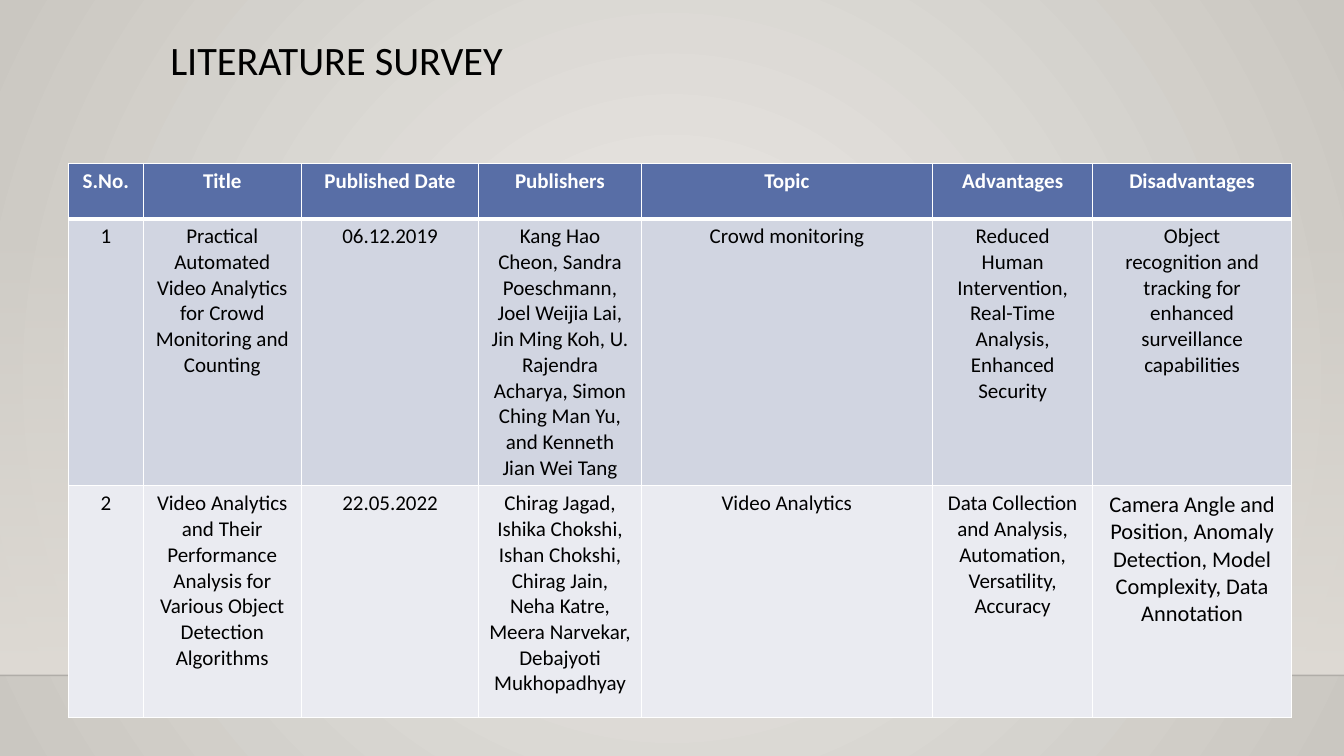
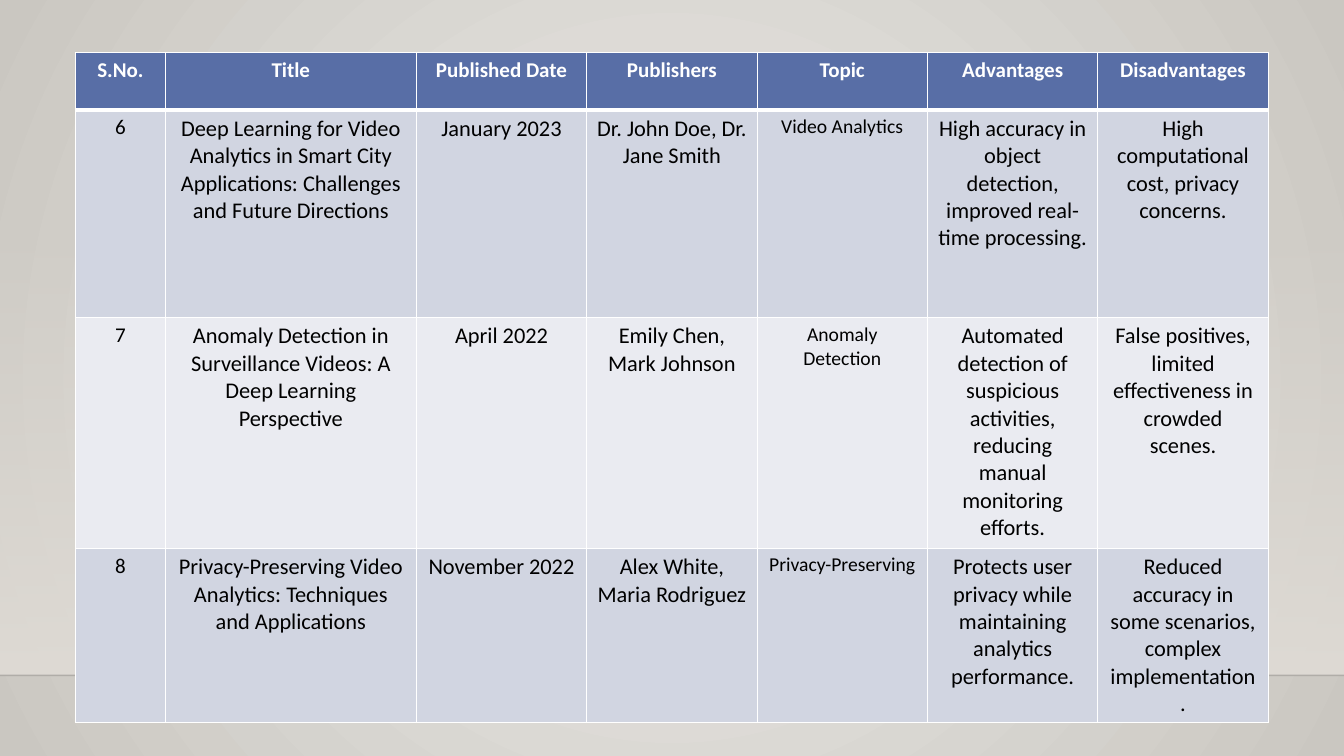
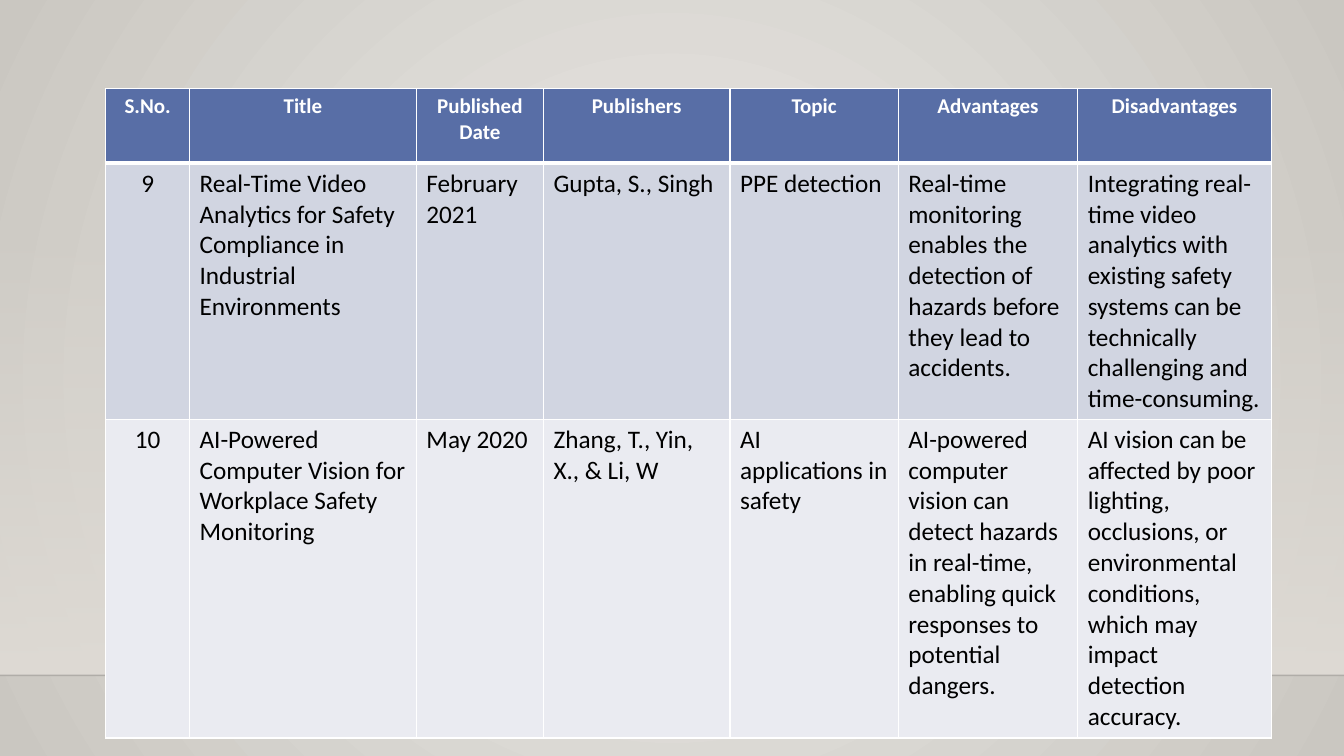
from lxml.etree import SubElement
from pptx import Presentation
from pptx.dml.color import RGBColor
from pptx.enum.shapes import MSO_CONNECTOR, MSO_SHAPE
from pptx.enum.text import PP_ALIGN
from pptx.oxml import parse_xml
from pptx.oxml.ns import nsdecls, qn
from pptx.util import Inches, Pt

# Shared look
WIDE, HIGH, FLOOR = 13.33, 7.5, 6.7
FONT = "Calibri"
HUES = {
    "glow": "ECEAE7", "edge": "CAC7C1", "wall": "DFDBD5",
    "head": "586EA6", "odd": "D1D5E1", "even": "EAEBF1",
    "white": "FFFFFF", "black": "000000",
}
HEADS = ["S.No.", "Title", "Published Date", "Publishers", "Topic",
         "Advantages", "Disadvantages"]
ROUND = ('<a:path {} path="circle"><a:fillToRect l="50000" t="50000" '
         'r="50000" b="50000"/></a:path>')
DOWN = '<a:lin {} ang="5400000" scaled="0"/>'

# Content of the tables: one list per body row
CROWD = [
    ["1",
     "Practical Automated Video Analytics for Crowd Monitoring and Counting",
     "06.12.2019",
     "Kang Hao Cheon, Sandra Poeschmann, Joel Weijia Lai,\n"
     "Jin Ming Koh, U. Rajendra Acharya, Simon Ching Man Yu, "
     "and Kenneth Jian Wei Tang",
     "Crowd monitoring",
     "Reduced Human Intervention,\nReal-Time Analysis,\nEnhanced Security",
     "Object\nrecognition and tracking for enhanced surveillance capabilities"],
    ["2",
     "Video Analytics and Their Performance Analysis for Various Object "
     "Detection Algorithms",
     "22.05.2022",
     "Chirag Jagad, Ishika Chokshi, Ishan Chokshi, Chirag Jain, Neha Katre, "
     "Meera Narvekar, Debajyoti Mukhopadhyay",
     "Video Analytics",
     "Data Collection and Analysis, Automation, Versatility, Accuracy",
     "Camera Angle and Position, Anomaly Detection, Model Complexity, "
     "Data Annotation"],
]
CITY = [
    ["6",
     "Deep Learning for Video Analytics in Smart City Applications: "
     "Challenges and Future Directions",
     "January 2023", "Dr. John Doe, Dr. Jane Smith", "Video Analytics",
     "High accuracy in object detection, improved real-time processing.",
     "High computational cost, privacy concerns."],
    ["7",
     "Anomaly Detection in Surveillance Videos: A Deep Learning Perspective",
     "April 2022", "Emily Chen, Mark Johnson", "Anomaly Detection",
     "Automated detection of suspicious activities, reducing manual "
     "monitoring efforts.",
     "False positives, limited effectiveness in crowded scenes."],
    ["8",
     "Privacy-Preserving Video Analytics: Techniques and Applications",
     "November 2022", "Alex White, Maria Rodriguez", "Privacy-Preserving",
     "Protects user privacy while maintaining analytics performance.",
     "Reduced accuracy in some scenarios, complex implementation."],
]
SAFETY = [
    ["9",
     "Real-Time Video Analytics for Safety Compliance in Industrial "
     "Environments",
     "February 2021", "Gupta, S., Singh", "PPE detection",
     "Real-time monitoring enables the detection of hazards before they "
     "lead to accidents.",
     "Integrating real-time video analytics with existing safety systems "
     "can be technically challenging and time-consuming."],
    ["10",
     "AI-Powered Computer Vision for Workplace Safety Monitoring",
     "May 2020", "Zhang, T., Yin, X., & Li, W", "AI applications in safety",
     "AI-powered computer vision can detect hazards in real-time, enabling "
     "quick responses to potential dangers.",
     "AI vision can be affected by poor lighting, occlusions, or "
     "environmental conditions, which may impact detection accuracy."],
]


def tint(name):
    return RGBColor.from_string(HUES[name])


def style(para, size, hue, bold=False, align=PP_ALIGN.CENTER):
    para.alignment = align
    look = {"name": FONT, "size": Pt(size), "bold": bold}
    for key, value in look.items():
        setattr(para.font, key, value)
    para.font.color.rgb = tint(hue)


# Gradient from (place, hue, opacity) stops
def blend(fill, owner, stops, course):
    fill.gradient()
    grad = owner.find(".//" + qn("a:gradFill"))
    for child in list(grad):
        grad.remove(child)
    group = SubElement(grad, qn("a:gsLst"))
    for place, hue, alpha in stops:
        stop = SubElement(group, qn("a:gs"), pos=str(place * 1000))
        color = SubElement(stop, qn("a:srgbClr"), val=HUES[hue])
        SubElement(color, qn("a:alpha"), val=str(alpha * 1000))
    grad.append(parse_xml(course.format(nsdecls("a"))))


# Wall band and floor line
def room(slide):
    top = 2.21
    wall = slide.shapes.add_shape(
        MSO_SHAPE.RECTANGLE, 0, Inches(top), Inches(WIDE), Inches(FLOOR - top))
    wall.shadow.inherit = False
    wall.line.fill.background()
    blend(wall.fill, wall.element, [(0, "wall", 0), (100, "wall", 100)], DOWN)

    line = slide.shapes.add_connector(
        MSO_CONNECTOR.STRAIGHT, 0, Inches(FLOOR), Inches(WIDE), Inches(FLOOR))
    line.line.width = Pt(1)
    line.line.color.rgb = tint("black")
    props = line.element.spPr
    SubElement(props.find(".//" + qn("a:srgbClr")), qn("a:alpha"), val="20000")
    SubElement(props, qn("a:effectLst"))


def title(slide, text):
    box = slide.shapes.add_textbox(
        Inches(1.59), Inches(0.35), Inches(10.61), Inches(0.87))
    box.text_frame.word_wrap = True
    para = box.text_frame.paragraphs[0]
    para.text = text
    para.line_spacing = 0.9
    style(para, 28.8, "black", align=PP_ALIGN.LEFT)


# White cell borders, thick between head and body
def border(cell, row):
    sides = {"L": 1, "R": 1, "T": 3 if row == 1 else 1,
             "B": 3 if row == 0 else 1}
    props = cell._tc.get_or_add_tcPr()
    for spot, (side, width) in enumerate(sides.items()):
        props.insert(spot, parse_xml(
            f'<a:ln{side} {nsdecls("a")} w="{Pt(width)}"><a:solidFill>'
            f'<a:srgbClr val="{HUES["white"]}"/></a:solidFill></a:ln{side}>'))


def survey(slide, left, top, cols, rows, body, sizes, align=PP_ALIGN.CENTER):
    grid = slide.shapes.add_table(
        len(rows), len(cols), Inches(left), Inches(top),
        Inches(sum(cols)), Inches(sum(rows))).table
    grid.horz_banding = False
    for col, width in zip(grid.columns, cols):
        col.width = Inches(width)
    for row, height in zip(grid.rows, rows):
        row.height = Inches(height)
    for r, texts in enumerate([HEADS] + body):
        head = r == 0
        hue = "head" if head else ("even", "odd")[r % 2]
        for c, text in enumerate(texts):
            cell = grid.cell(r, c)
            cell.text = text
            cell.fill.solid()
            cell.fill.fore_color.rgb = tint(hue)
            border(cell, r)
            for para in cell.text_frame.paragraphs:
                if head:
                    style(para, 15, "white", bold=True)
                else:
                    side = PP_ALIGN.CENTER if c == 0 else align
                    style(para, sizes[r - 1][c], "black", align=side)


def main():
    deck = Presentation()
    deck.slide_width, deck.slide_height = Inches(WIDE), Inches(HIGH)
    base = deck.slide_master
    blend(base.background.fill, base.element,
          [(0, "glow", 100), (100, "edge", 100)], ROUND)
    first, second, third = (
        deck.slides.add_slide(deck.slide_layouts[6]) for _ in range(3))
    for slide in deck.slides:
        room(slide)

    title(first, "LITERATURE SURVEY")
    survey(first, 0.68, 1.62, [0.74, 1.57, 1.76, 1.61, 2.89, 1.59, 1.97],
           [0.55, 2.65, 2.3], CROWD, [[15] * 7, [15] * 6 + [16]])
    survey(second, 0.75, 0.52, [0.89, 2.49] + [1.69] * 5,
           [0.57, 2.06, 2.29, 1.72], CITY, [[15, 16, 16, 16, 14, 16, 16]] * 3)
    survey(third, 1.05, 0.88, [0.83, 2.25, 1.26, 1.85, 1.67, 1.78, 1.92],
           [0.74, 2.54, 3.16], SAFETY, [[18] * 7] * 2, PP_ALIGN.LEFT)
    deck.save("out.pptx")


if __name__ == "__main__":
    main()
